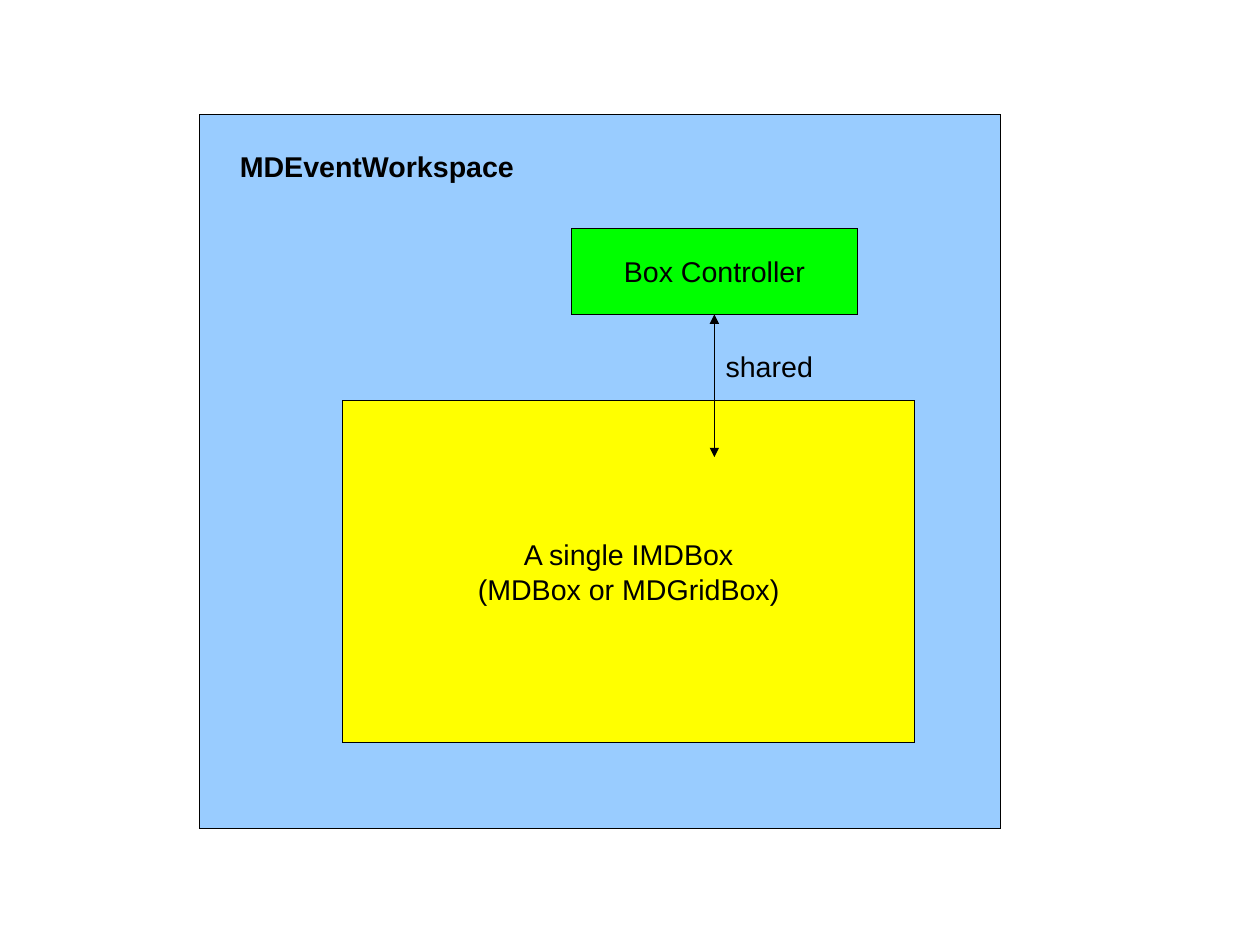
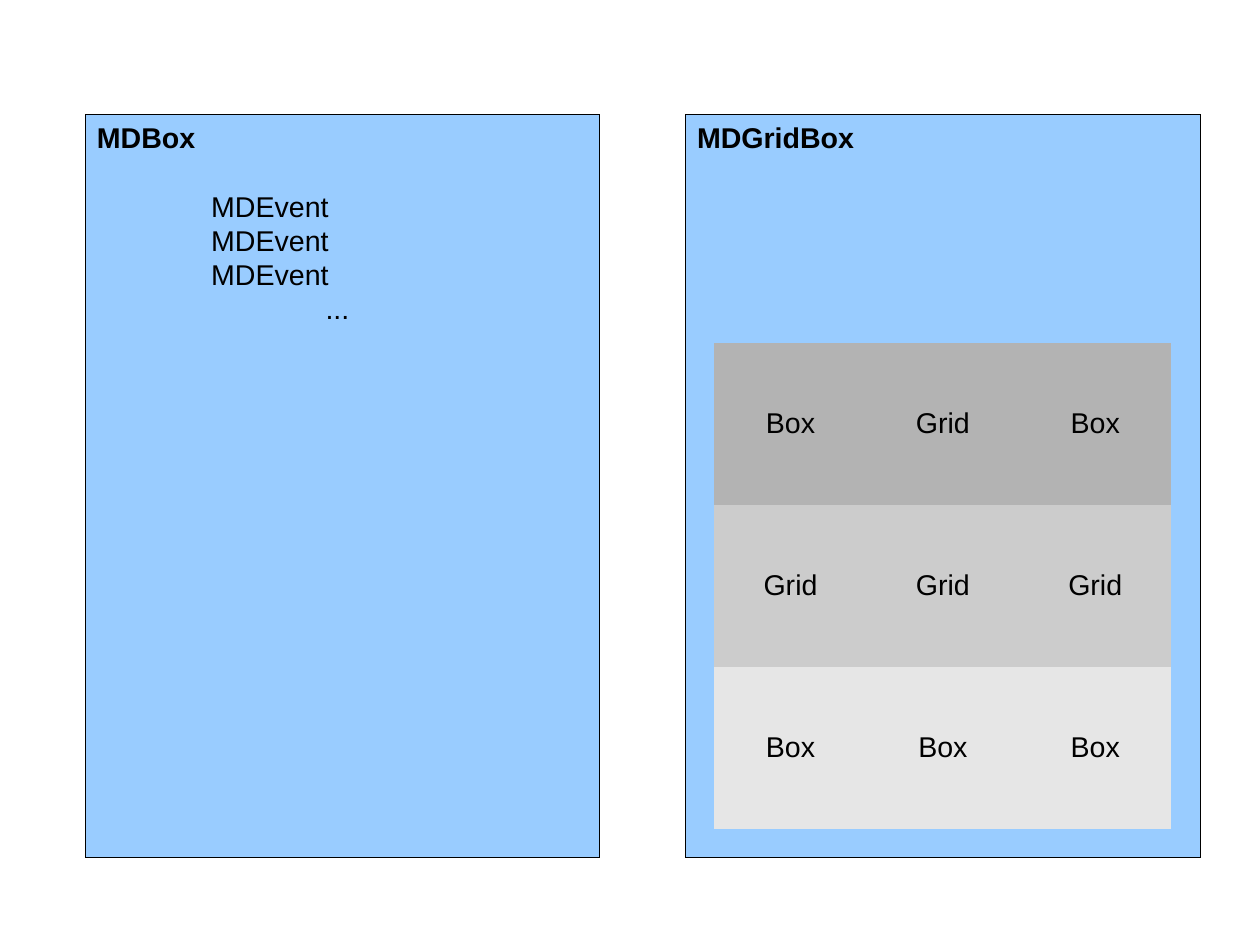
from dataclasses import dataclass
from pptx import Presentation
from pptx.dml.color import RGBColor
from pptx.enum.shapes import MSO_CONNECTOR, MSO_SHAPE
from pptx.enum.text import MSO_ANCHOR, PP_ALIGN
from pptx.oxml.ns import qn
from pptx.util import Inches, Pt
from lxml.etree import SubElement


@dataclass(frozen=True)
class Theme:
    font: str = "Arial"
    size: int = 18
    gap: float = 21.6
    ink: str = "000000"
    panel: str = "99CCFF"
    control: str = "00FF00"
    node: str = "FFFF00"
    rows: tuple = ("B3B3B3", "CCCCCC", "E6E6E6")


@dataclass(frozen=True)
class Box:
    x: float
    y: float
    w: float
    h: float

    def sub(self, x, y, w, h):
        return Box(self.x + x, self.y + y, w, h)

    def dims(self):
        return [Inches(n) for n in (self.x, self.y, self.w, self.h)]


theme = Theme()


def color(hue):
    return RGBColor.from_string(hue)


def write(para, text, align=PP_ALIGN.LEFT, bold=False):
    para.alignment = align
    run = para.add_run()
    run.text = text
    font = run.font
    font.name, font.size, font.bold = theme.font, Pt(theme.size), bold
    font.color.rgb = color(theme.ink)


def fill_text(frame, lines, align=PP_ALIGN.LEFT, bold=False, anchor=MSO_ANCHOR.TOP):
    frame.word_wrap = True
    frame.vertical_anchor = anchor
    for i, line in enumerate(lines):
        para = frame.add_paragraph() if i else frame.paragraphs[0]
        write(para, line, align, bold)


def add_label(slide, box, text, bold=False):
    fill_text(slide.shapes.add_textbox(*box.dims()).text_frame, [text], bold=bold)


def set_hair(shape):
    shape.line.color.rgb = color(theme.ink)
    node = shape._element
    node.remove(node.find(qn("p:style")))


def add_rect(slide, box, hue):
    shape = slide.shapes.add_shape(MSO_SHAPE.RECTANGLE, *box.dims())
    shape.shadow.inherit = False
    shape.fill.solid()
    shape.fill.fore_color.rgb = color(hue)
    set_hair(shape)
    return shape


def add_node(slide, box, hue, lines):
    frame = add_rect(slide, box, hue).text_frame
    fill_text(frame, lines, PP_ALIGN.CENTER, anchor=MSO_ANCHOR.MIDDLE)


def add_panel(slide, box, title):
    frame = add_rect(slide, box, theme.panel).text_frame
    fill_text(frame, [title], bold=True)
    return frame


def add_arrow(slide, x, start, end):
    link = slide.shapes.add_connector(
        MSO_CONNECTOR.STRAIGHT, Inches(x), Inches(start), Inches(x), Inches(end))
    set_hair(link)
    line = link.line._get_or_add_ln()
    for tag in ("a:headEnd", "a:tailEnd"):
        SubElement(line, qn(tag)).set("type", "triangle")
    SubElement(link._element.spPr, qn("a:effectLst"))


def add_space(slide, box):
    add_rect(slide, box, theme.panel)
    control = box.sub(3.25, 1, 2.5, 0.75)
    node = box.sub(1.25, 2.5, 5, 3)
    add_node(slide, control, theme.control, ["Box Controller"])
    add_label(slide, box.sub(0.25, 0.25, 2.75, 0.38), "MDEventWorkspace", True)
    add_node(slide, node, theme.node, ["A single IMDBox", "(MDBox or MDGridBox)"])
    mid = control.x + control.w / 2
    add_arrow(slide, mid, node.y + 0.5, control.y + control.h)
    add_label(slide, box.sub(mid - box.x, 2, 1, 0.38), "shared")


def add_events(slide, box):
    frame = add_panel(slide, box, "MDBox")
    for i, (text, indent) in enumerate([("MDEvent", 1)] * 3 + [("...", 2)]):
        para = frame.add_paragraph()
        para._p.get_or_add_pPr().set("marL", str(Inches(indent)))
        if i == 0:
            para.space_before = Pt(theme.gap)
        write(para, text)


def add_grid(slide, box):
    add_panel(slide, box, "MDGridBox")
    data = [["Box", "Grid", "Box"], ["Grid"] * 3, ["Box"] * 3]
    area = box.sub(0.25, 2, box.w - 0.5, box.h - 2.25)
    table = slide.shapes.add_table(len(data), len(data[0]), *area.dims()).table
    table.first_row = table.horz_banding = False
    style = table._tbl.tblPr.find(qn("a:tableStyleId"))
    style.text = "{2D5ABB26-0587-4C30-8999-92F81FD0307C}"
    for row, words, hue in zip(table.rows, data, theme.rows):
        row.height = Inches(area.h / len(data))
        for cell, word in zip(row.cells, words):
            cell.fill.solid()
            cell.fill.fore_color.rgb = color(hue)
            cell.vertical_anchor = MSO_ANCHOR.MIDDLE
            write(cell.text_frame.paragraphs[0], word, PP_ALIGN.CENTER)


def main():
    deck = Presentation()
    deck.slide_width, deck.slide_height = Inches(28 / 2.54), Inches(21 / 2.54)
    blank = deck.slide_layouts[6]
    add_space(deck.slides.add_slide(blank), Box(1.75, 1, 7, 6.25))
    pair = deck.slides.add_slide(blank)
    add_events(pair, Box(0.75, 1, 4.5, 6.5))
    add_grid(pair, Box(6, 1, 4.5, 6.5))
    deck.save("out.pptx")


if __name__ == "__main__":
    main()
